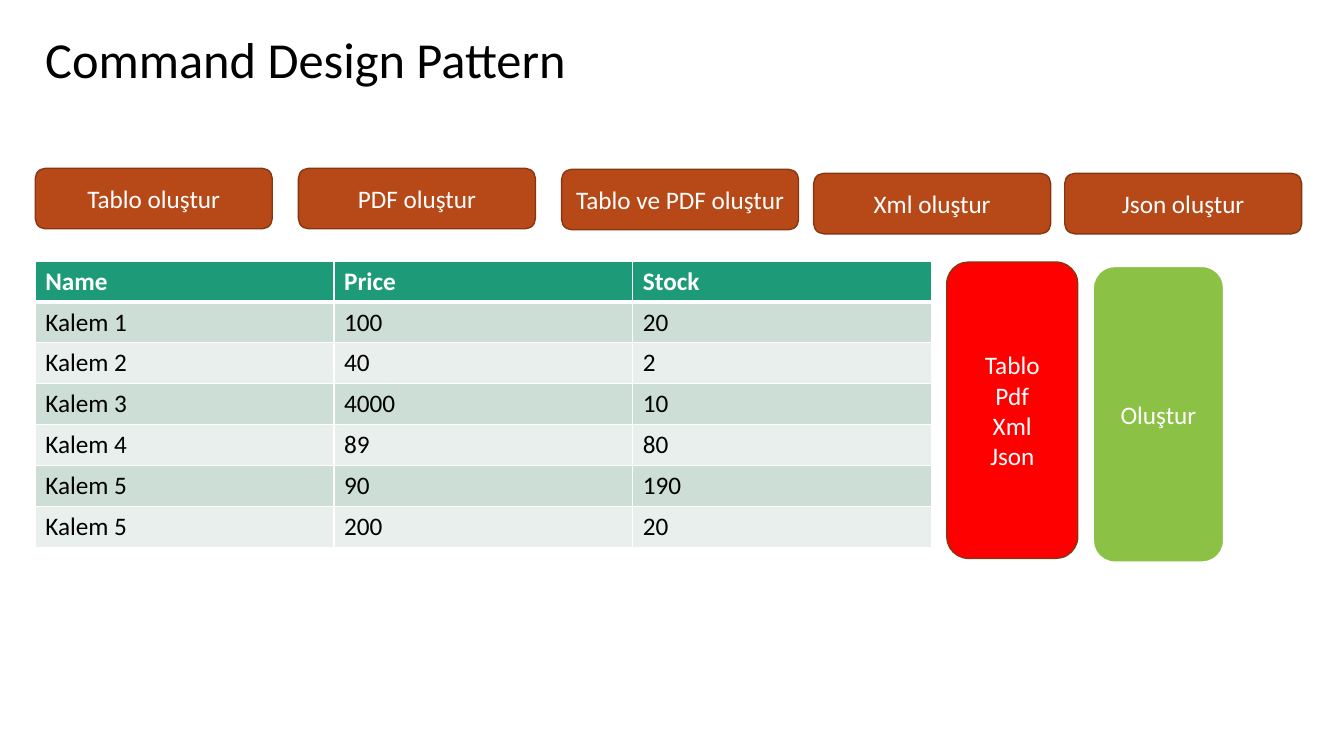
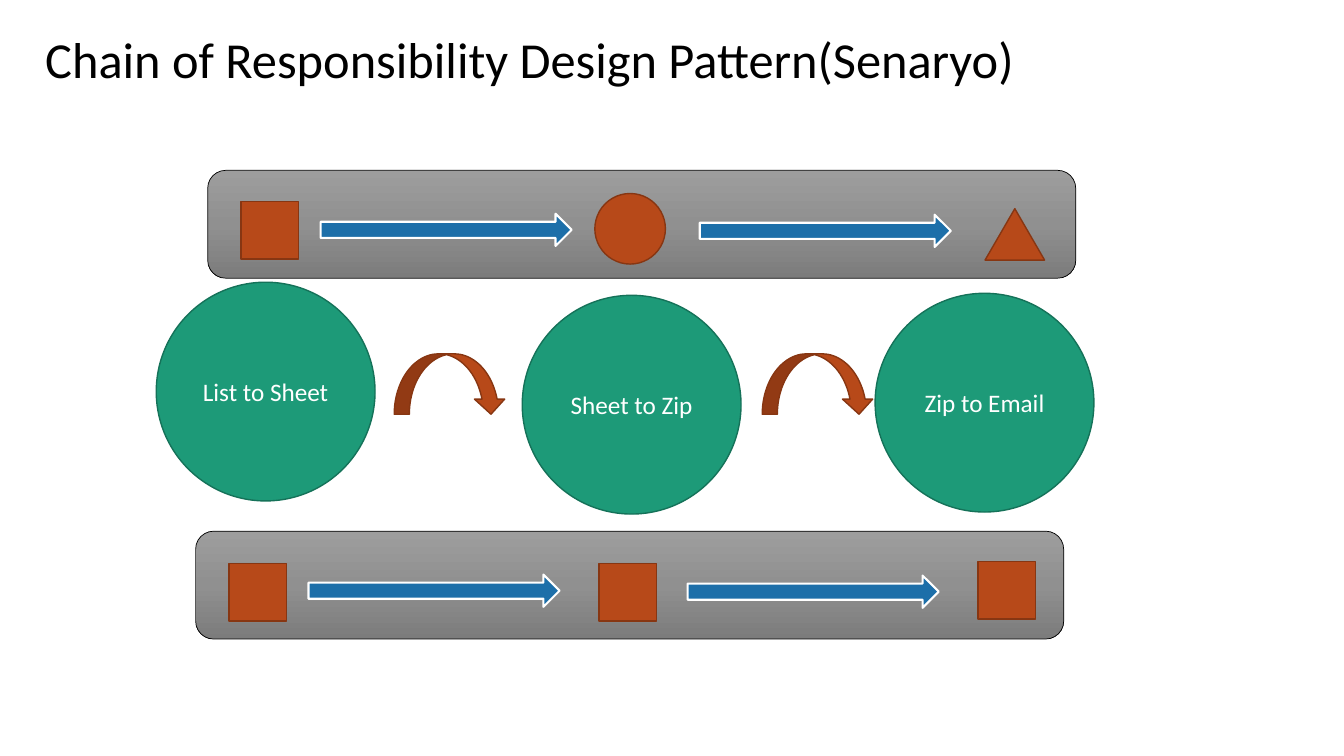
from copy import deepcopy
from lxml import etree
from pptx import Presentation
from pptx import util as u
from pptx.dml import color
from pptx.enum import shapes, text
from pptx.oxml import ns

Inches, Pt = u.Inches, u.Pt
G = shapes.MSO_SHAPE
FONT = "Calibri"
C = {
    "white": "FFFFFF", "black": "000000", "rust": "B74919", "rust_line": "873612",
    "red": "FF0000", "lime": "8BC145", "green": "1D9A78", "green_line": "157259",
    "blue": "1D6FA9", "band_dark": "CDDED6", "band_light": "E8EFEC",
}
TRACK_STOPS = [(0, "9D9D9D"), (0.5, "909090"), (1, "7C7C7C")]
RUST = ("rust", "rust_line", 1)
GREEN = ("green", "green_line", 1)
BLUE = ("blue", "white", 1.5)

BUTTON_SIZE = (2.35, 0.6)
BUTTONS = [
    ("Tablo oluştur", 0.35, 1.67),
    ("PDF oluştur", 2.96, 1.67),
    ("Tablo ve PDF oluştur", 5.57, 1.68),
    ("Xml oluştur", 8.07, 1.72),
    ("Json oluştur", 10.56, 1.72),
]
PANEL_SIZE = (1.3, 2.94)
PANELS = [
    ("Tablo\vPdf\nXml\vJson", 9.39, 2.6, ("red", "rust_line", 1)),
    ("Oluştur", 10.84, 2.64, ("lime", "white", 1.5)),
]
PRODUCTS = [
    ("Name", "Price", "Stock"),
    ("Kalem 1", "100", "20"),
    ("Kalem 2", "40", "2"),
    ("Kalem 3", "4000", "10"),
    ("Kalem 4", "89", "80"),
    ("Kalem 5", "90", "190"),
    ("Kalem 5", "200", "20"),
]

STEP_SIZE = (2.17, 2.17)
STEPS = [("List to Sheet", 1.55, 2.8), ("Sheet to Zip", 5.18, 2.93), ("Zip to Email", 8.68, 2.91)]
TURNS = [3.91, 7.56]
TRACK_SIZE = (8.61, 1.07)
ARROW_SIZE = (2.49, 0.32)
ARROWS = [(1.12, 0.43), (4.88, 0.44)]
SQUARE = (0.57, 0.57)
TRACKS = [
    (2.06, 1.69, [(G.RECTANGLE, 0.33, 0.31, SQUARE),
                  (G.OVAL, 3.84, 0.23, (0.7, 0.7)),
                  (G.ISOSCELES_TRIANGLE, 7.71, 0.38, (0.59, 0.51))]),
    (1.94, 5.27, [(G.RECTANGLE, 0.33, 0.32, SQUARE),
                  (G.RECTANGLE, 4.0, 0.32, SQUARE),
                  (G.RECTANGLE, 7.76, 0.3, SQUARE)]),
]


def rgb(name):
    return color.RGBColor.from_string(C.get(name, name))


def set_font(p, size, name, bold=False):
    p.font.name, p.font.size, p.font.bold = FONT, Pt(size), bold
    p.font.color.rgb = rgb(name)


def add_slide(prs, title, width):
    s = prs.slides.add_slide(prs.slide_layouts[6])
    tf = s.shapes.add_textbox(Inches(0.35), Inches(0.34), Inches(width), Inches(0.6)).text_frame
    tf.word_wrap = True
    tf.vertical_anchor = text.MSO_ANCHOR.BOTTOM
    p = tf.paragraphs[0]
    p.text = title
    p.line_spacing = 0.9
    set_font(p, 36, "black")
    return s


def add_shape(s, kind, x, y, size, style, label=""):
    fill, line, width = style
    sp = s.shapes.add_shape(kind, Inches(x), Inches(y), Inches(size[0]), Inches(size[1]))
    sp.shadow.inherit = False
    if fill:
        sp.fill.solid()
        sp.fill.fore_color.rgb = rgb(fill)
    sp.line.color.rgb = rgb(line)
    sp.line.width = Pt(width)
    if label:
        tf = sp.text_frame
        tf.text = label
        tf.word_wrap = True
        tf.vertical_anchor = text.MSO_ANCHOR.MIDDLE
        for p in tf.paragraphs:
            p.alignment = text.PP_ALIGN.CENTER
            set_font(p, 18, "white")
    return sp


def add_track(s, x, y, items):
    sp = add_shape(s, G.ROUNDED_RECTANGLE, x, y, TRACK_SIZE, (None, "black", 0.5))
    sp.fill.gradient()
    sp.fill.gradient_angle = 270
    stops = sp._element.spPr.find(".//" + ns.qn("a:gsLst"))
    stops.append(deepcopy(stops[-1]))
    for stop, (position, shade) in zip(sp.fill.gradient_stops, TRACK_STOPS):
        stop.position = position
        stop.color.rgb = rgb(shade)
    for kind, dx, dy, size in items:
        add_shape(s, kind, x + dx, y + dy, size, RUST)
    for dx, dy in ARROWS:
        add_shape(s, G.RIGHT_ARROW, x + dx, y + dy, ARROW_SIZE, BLUE)


def set_borders(cell, top, bottom):
    tcPr = cell._tc.get_or_add_tcPr()
    widths = [("L", 1), ("R", 1), ("T", top), ("B", bottom)]
    for i, (side, width) in enumerate(widths):
        ln = etree.Element(ns.qn("a:ln" + side), w=str(Pt(width)))
        fill = etree.SubElement(ln, ns.qn("a:solidFill"))
        etree.SubElement(fill, ns.qn("a:srgbClr"), val=C["white"])
        tcPr.insert(i, ln)


def add_products(s):
    table = s.shapes.add_table(len(PRODUCTS), len(PRODUCTS[0]), Inches(0.35), Inches(2.59),
                               Inches(8.89), Inches(2.84)).table
    for i, row in enumerate(PRODUCTS):
        header = i == 0
        band = "green" if header else "band_dark" if i % 2 else "band_light"
        for j, value in enumerate(row):
            cell = table.cell(i, j)
            cell.text = value
            cell.fill.solid()
            cell.fill.fore_color.rgb = rgb(band)
            set_font(cell.text_frame.paragraphs[0], 18, "white" if header else "black", header)
            set_borders(cell, 3 if i == 1 else 1, 3 if header else 1)


def build_command(prs):
    s = add_slide(prs, "Command Design Pattern", 7.87)
    add_products(s)
    for label, x, y in BUTTONS:
        add_shape(s, G.FLOWCHART_ALTERNATE_PROCESS, x, y, BUTTON_SIZE, RUST, label)
    for label, x, y, style in PANELS:
        add_shape(s, G.FLOWCHART_ALTERNATE_PROCESS, x, y, PANEL_SIZE, style, label)


def build_chain(prs):
    s = add_slide(prs, "Chain of Responsibility Design Pattern(Senaryo)", 11.08)
    for track in TRACKS:
        add_track(s, *track)
    for label, x, y in STEPS:
        add_shape(s, G.OVAL, x, y, STEP_SIZE, GREEN, label)
    for x in TURNS:
        add_shape(s, G.CURVED_DOWN_ARROW, x, 3.51, (1.11, 0.6), RUST)


def main():
    prs = Presentation()
    prs.slide_width, prs.slide_height = Inches(13.33), Inches(7.5)
    build_command(prs)
    build_chain(prs)
    prs.save("out.pptx")


if __name__ == "__main__":
    main()
